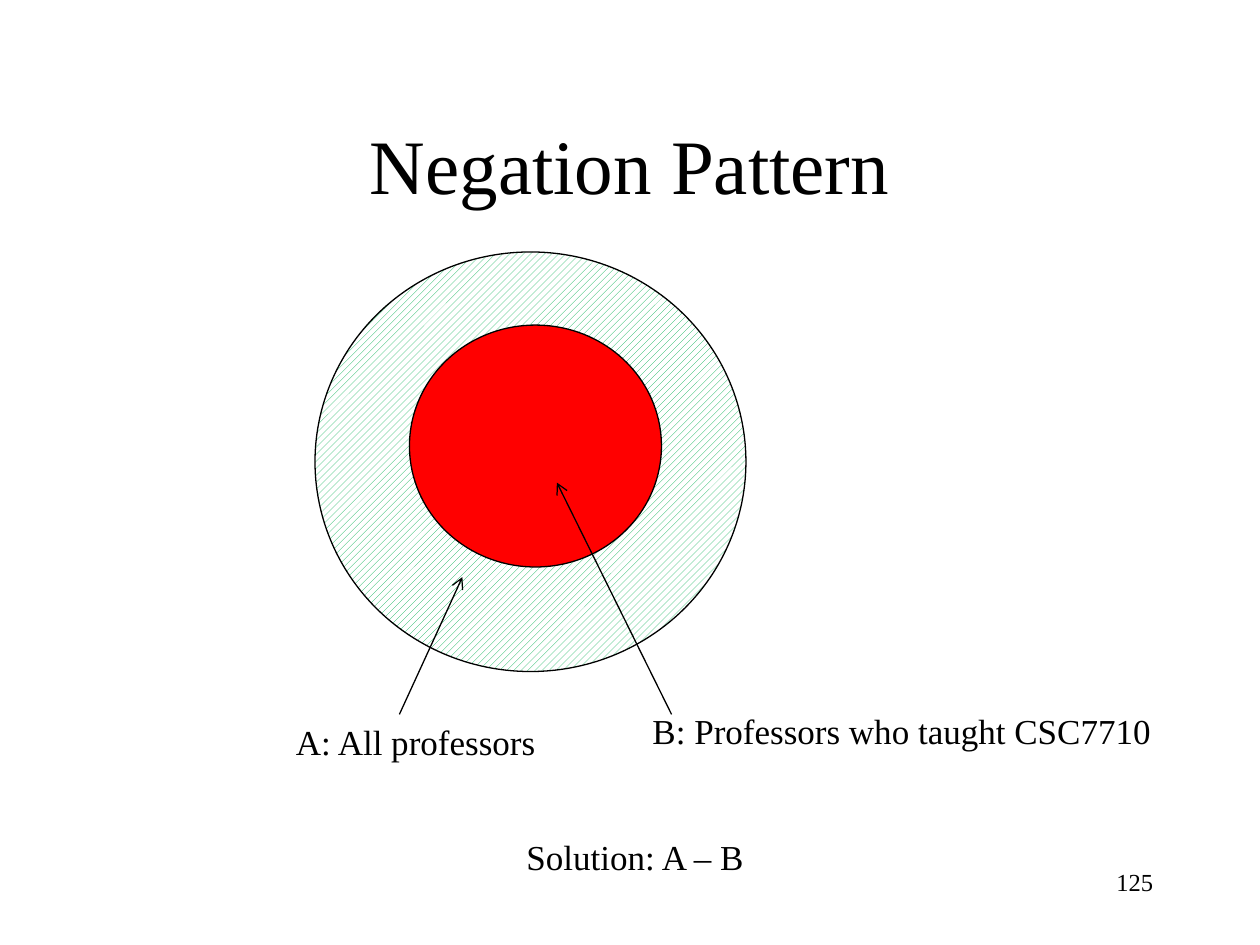
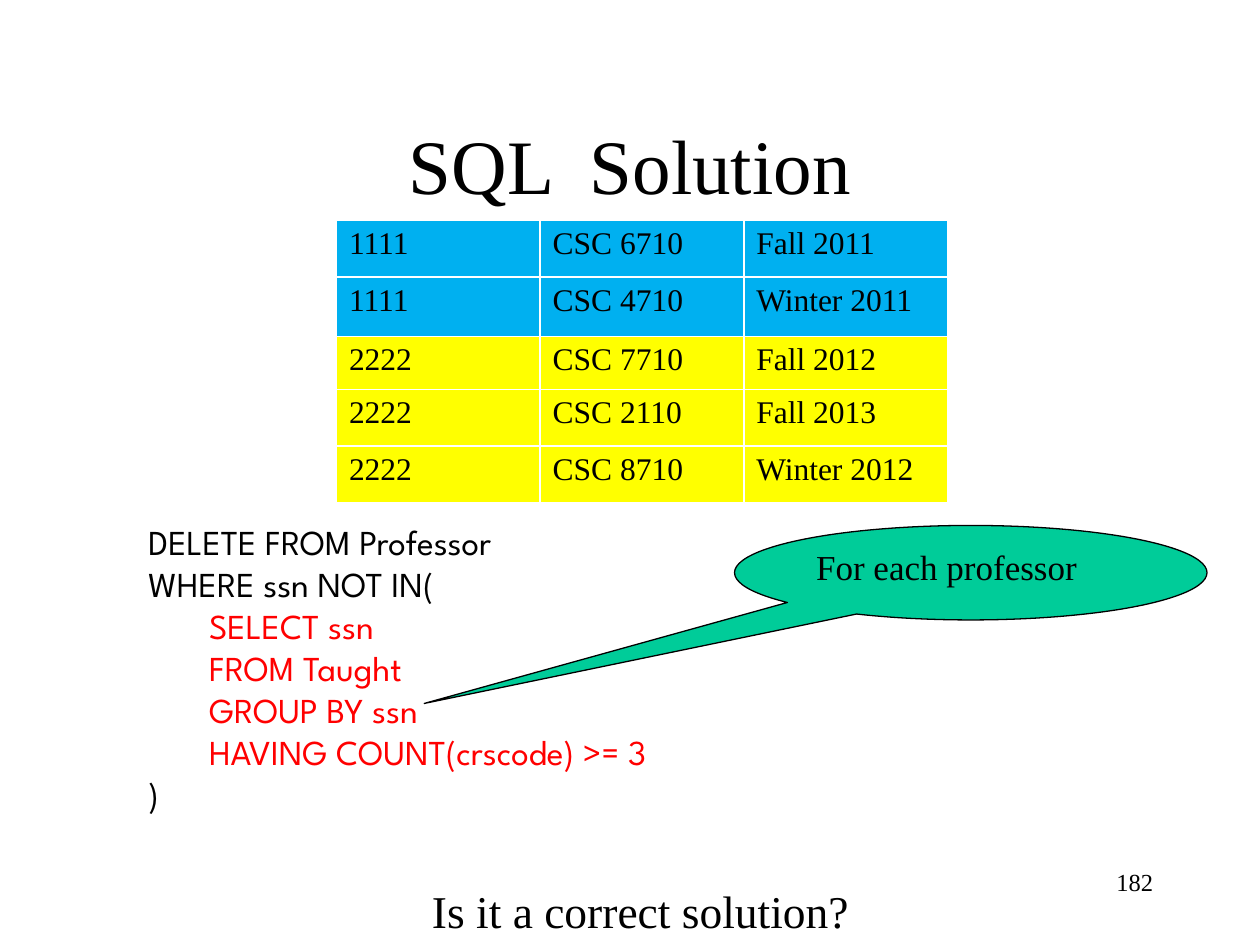
from lxml import etree
from pptx import Presentation
from pptx.dml.color import RGBColor
from pptx.enum.dml import MSO_PATTERN
from pptx.enum.shapes import MSO_CONNECTOR, MSO_SHAPE
from pptx.enum.text import MSO_ANCHOR, PP_ALIGN
from pptx.oxml.ns import qn
from pptx.util import Inches, Pt

SERIF = "Times New Roman"
CODE_FONT = "League Spartan"
BLACK, WHITE, RED, GREEN = "000000", "FFFFFF", "FF0000", "00B050"
BLUE, YELLOW, TEAL = "00B0F0", "FFFF00", "00CC99"
color = RGBColor.from_string


def style_text(paragraph, size, font=SERIF, hex_color=BLACK, align=PP_ALIGN.LEFT):
    paragraph.alignment = align
    paragraph.font.size = Pt(size)
    paragraph.font.name = font
    paragraph.font.bold = False
    paragraph.font.color.rgb = color(hex_color)


def add_text(slide, box, text, size, align=PP_ALIGN.LEFT, wrap=True, anchor=MSO_ANCHOR.TOP):
    frame = slide.shapes.add_textbox(*map(Inches, box)).text_frame
    frame.word_wrap = wrap
    frame.vertical_anchor = anchor
    frame.text = text
    for paragraph in frame.paragraphs:
        style_text(paragraph, size, align=align)
    return frame


presentation = Presentation()
presentation.slide_width = Inches(10)
presentation.slide_height = Inches(7.5)

slides = []
for title, number in [("Negation Pattern", "125"), ("SQL  Solution", "182")]:
    slide = presentation.slides.add_slide(presentation.slide_layouts[6])
    add_text(slide, (0.75, 0.67, 8.5, 1.25), title, 44, PP_ALIGN.CENTER, anchor=MSO_ANCHOR.MIDDLE)
    add_text(slide, (7.17, 6.83, 2.08, 0.5), number, 14, PP_ALIGN.RIGHT)
    slides.append(slide)
pattern_slide, sql_slide = slides

all_professors = pattern_slide.shapes.add_shape(
    MSO_SHAPE.OVAL, Inches(2.5), Inches(2), Inches(3.42), Inches(3.33))
all_professors.fill.patterned()
all_professors.fill.pattern = MSO_PATTERN.WIDE_UPWARD_DIAGONAL
all_professors.fill.fore_color.rgb = color(GREEN)
all_professors.fill.back_color.rgb = color(WHITE)

csc7710_professors = pattern_slide.shapes.add_shape(
    MSO_SHAPE.OVAL, Inches(3.25), Inches(2.58), Inches(2), Inches(1.92))
csc7710_professors.fill.solid()
csc7710_professors.fill.fore_color.rgb = color(RED)

for box, label in [
    ((2.25, 5.67, 2.11, 0.44), "A: All professors"),
    ((5.08, 5.58, 4.19, 0.44), "B: Professors who taught CSC7710"),
    ((4.08, 6.58, 2.01, 0.44), "Solution: A – B"),
]:
    add_text(pattern_slide, box, label, 20, wrap=False)

for ends in [(3.17, 5.67, 3.67, 4.58), (5.33, 5.67, 4.42, 3.83)]:
    arrow = pattern_slide.shapes.add_connector(MSO_CONNECTOR.STRAIGHT, *map(Inches, ends))
    arrow.line.color.rgb = color(BLACK)
    arrow.line.width = Pt(0.75)
    etree.SubElement(arrow.line._get_or_add_ln(), qn("a:tailEnd"), type="arrow")
    etree.SubElement(arrow._element.spPr, qn("a:effectLst"))

code_lines = [
    ("DELETE FROM Professor", BLACK),
    ("WHERE ssn NOT IN(", BLACK),
    ("       SELECT ssn", RED),
    ("       FROM Taught", RED),
    ("       GROUP BY ssn", RED),
    ("       HAVING COUNT(crscode) >= 3", RED),
    (")", BLACK),
]
code = add_text(sql_slide, (1.08, 4.08, 8.25, 2.43), "\n".join(line for line, _ in code_lines), 20)
for paragraph, (_, hex_color) in zip(code.paragraphs, code_lines):
    style_text(paragraph, 20, CODE_FONT, hex_color)

callout = sql_slide.shapes.add_shape(
    MSO_SHAPE.OVAL_CALLOUT, Inches(5.83), Inches(4.17), Inches(3.75), Inches(0.75))
callout.adjustments[0] = -1.157
callout.adjustments[1] = 1.384
callout.fill.solid()
callout.fill.fore_color.rgb = color(TEAL)
callout.text_frame.text = "For each professor"
callout.text_frame.vertical_anchor = MSO_ANCHOR.TOP
style_text(callout.text_frame.paragraphs[0], 20)

for shape in (all_professors, csc7710_professors, callout):
    shape.shadow.inherit = False
    shape.line.color.rgb = color(BLACK)
    shape.line.width = Pt(0.75)

add_text(sql_slide, (3.33, 6.96, 5.75, 0.54), "Is it a correct solution?", 26)

taught_rows = [
    ("1111", "CSC 6710", "Fall 2011"),
    ("1111", "CSC 4710", "Winter 2011"),
    ("2222", "CSC 7710", "Fall 2012"),
    ("2222", "CSC 2110", "Fall 2013"),
    ("2222", "CSC 8710", "Winter 2012"),
]
professor_fills = {"1111": BLUE, "2222": YELLOW}
taught_table = sql_slide.shapes.add_table(
    len(taught_rows), 3, Inches(2.67), Inches(1.75), Inches(4.85), Inches(2.24)).table
taught_table.horz_banding = False
for row, height, values in zip(taught_table.rows, (0.45, 0.47, 0.42, 0.45, 0.45), taught_rows):
    row.height = Inches(height)
    for cell, value in zip(row.cells, values):
        cell.fill.solid()
        cell.fill.fore_color.rgb = color(professor_fills[values[0]])
        cell.text = value
        style_text(cell.text_frame.paragraphs[0], 18)

presentation.save("out.pptx")
